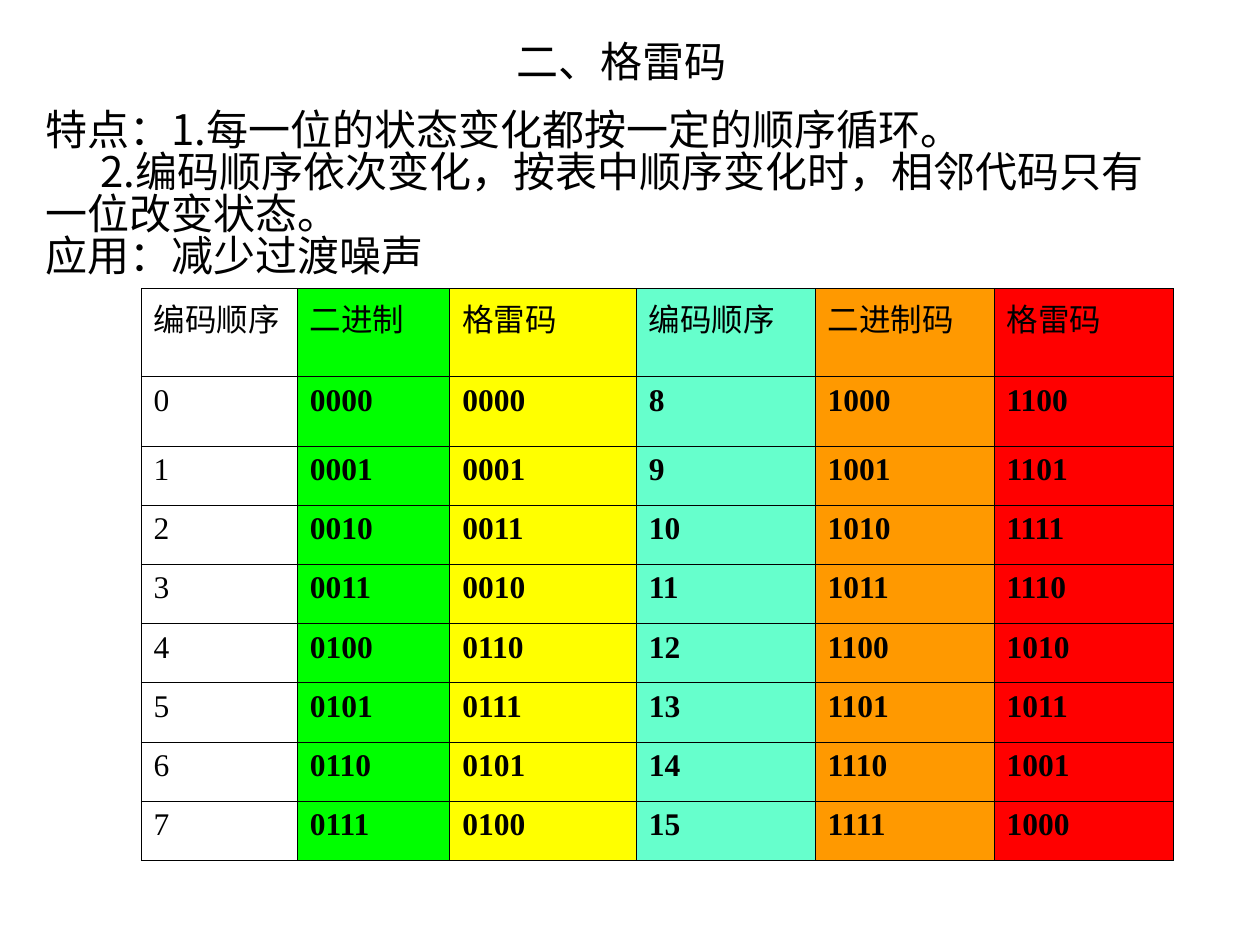
from lxml import etree
from pptx import Presentation
from pptx.dml.color import RGBColor
from pptx.enum.text import MSO_ANCHOR, PP_ALIGN
from pptx.oxml.ns import qn
from pptx.util import Inches, Pt

MIDDLE = MSO_ANCHOR.MIDDLE
CENTER = PP_ALIGN.CENTER
SANS, SERIF = "Noto Sans CJK SC", "Times New Roman"
COLORS = {
    "text": "000000",
    "green": "00FF00",
    "yellow": "FFFF00",
    "aqua": "66FFCC",
    "orange": "FF9900",
    "red": "FF0000",
}


def style(para, size, name, bold=False):
    """Set the font of a paragraph, with Chinese glyphs in the sans face."""
    font = para.font
    font.size, font.bold, font.name = Pt(size), bold, name
    font.color.rgb = RGBColor.from_string(COLORS["text"])
    props = para._p.pPr.find(qn("a:defRPr"))
    etree.SubElement(props, qn("a:ea"), typeface=SANS)


def border(cell):
    """Draw a thin line on all four sides of a cell."""
    props = cell._tc.get_or_add_tcPr()
    for index, side in enumerate(("lnL", "lnR", "lnT", "lnB")):
        line = etree.Element(qn(f"a:{side}"), w=str(Pt(0.45)))
        fill = etree.SubElement(line, qn("a:solidFill"))
        etree.SubElement(fill, qn("a:srgbClr"), val=COLORS["text"])
        props.insert(index, line)


deck = Presentation()
deck.slide_width, deck.slide_height = Inches(10), Inches(7.5)
slide = deck.slides.add_slide(deck.slide_layouts[6])

# Title
box = slide.shapes.add_textbox(Inches(0.43), Inches(0), Inches(9), Inches(0.97))
frame = box.text_frame
frame.word_wrap = True
frame.vertical_anchor = MIDDLE
title = frame.paragraphs[0]
title.text = "二、格雷码"
title.alignment = CENTER
style(title, 24, SANS)

# Features and use
box = slide.shapes.add_textbox(Inches(0.26), Inches(0.84), Inches(9.06), Inches(1.44))
frame = box.text_frame
frame.word_wrap = True
frame.text = "\n".join([
    "特点：1.每一位的状态变化都按一定的顺序循环。",
    "2.编码顺序依次变化，按表中顺序变化时，相邻代码只有一位改变状态。",
    "应用：减少过渡噪声",
])
for para in frame.paragraphs:
    para.line_spacing = Pt(24)
    style(para, 24, SANS)
frame.paragraphs[1]._p.pPr.set("indent", str(Inches(0.44)))

# Code table: order, binary and Gray code, for 0-7 and 8-15
rows = [["编码顺序", "二进制", "格雷码", "编码顺序", "二进制码", "格雷码"]]
for low in range(8):
    row = []
    for num in (low, low + 8):
        row += [str(num), f"{num:04b}", f"{num ^ num >> 1:04b}"]
    rows.append(row)

widths = [1.24, 1.21, 1.48] + [1.42] * 3
heights = [0.7, 0.55] + [0.47] * 7
fills = [None, "green", "yellow", "aqua", "orange", "red"]

table = slide.shapes.add_table(
    len(rows), len(widths), Inches(1.12), Inches(2.29),
    Inches(sum(widths)), Inches(sum(heights))).table
table.first_row = table.horz_banding = False
for col, width in zip(table.columns, widths):
    col.width = Inches(width)
for line, height in zip(table.rows, heights):
    line.height = Inches(height)

for r, row in enumerate(rows):
    for c, text in enumerate(row):
        cell = table.cell(r, c)
        cell.text = text
        style(cell.text_frame.paragraphs[0], 18, SERIF, bold=r > 0 and c > 0)
        if fills[c]:
            cell.fill.solid()
            cell.fill.fore_color.rgb = RGBColor.from_string(COLORS[fills[c]])
        else:
            cell.fill.background()
        border(cell)

deck.save("out.pptx")
